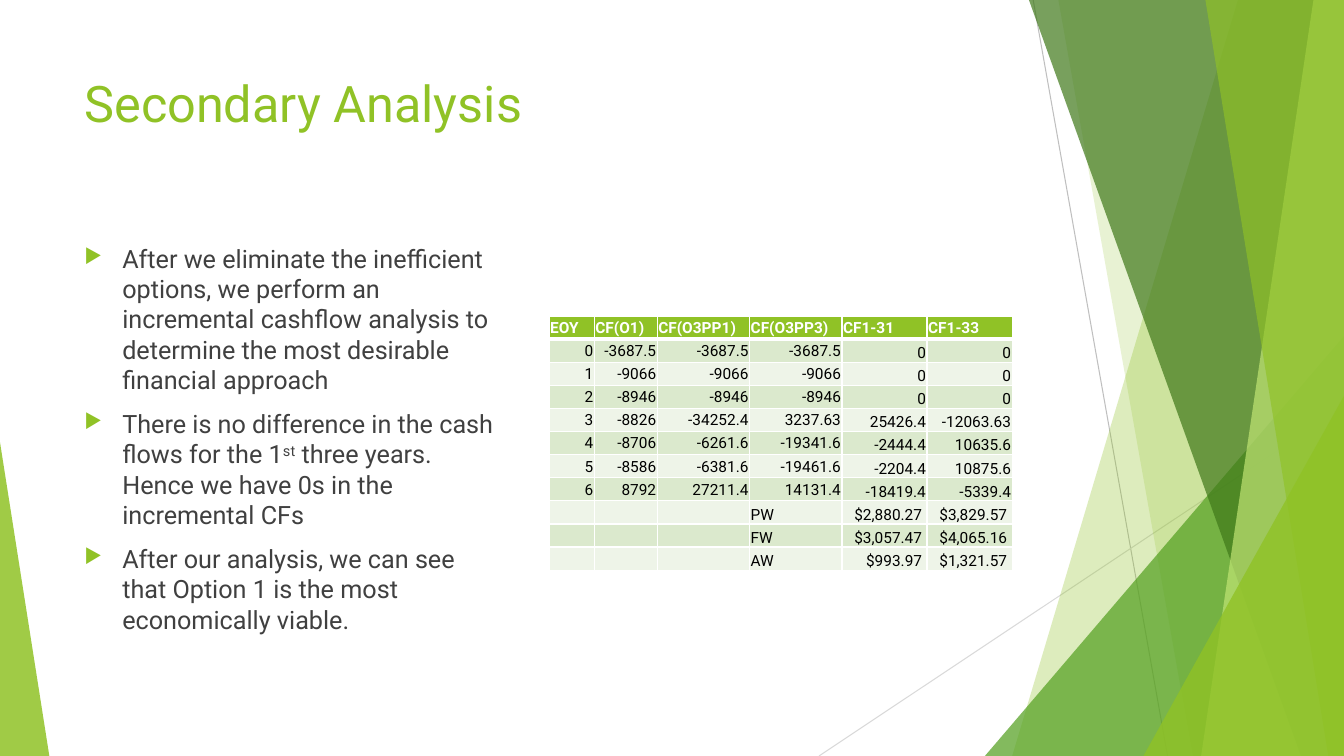
import pptx
import pptx.util
import pptx.dml.color
import pptx.enum.shapes
import pptx.enum.text
import pptx.oxml
import pptx.oxml.ns
import lxml.etree

RGB = pptx.dml.color.RGBColor
LIME = RGB(0x90, 0xC2, 0x26)
GREEN = RGB(0x54, 0xA0, 0x21)
DARK = RGB(0x3F, 0x78, 0x19)
PALE = RGB(0xC0, 0xE4, 0x74)
WHITE = RGB(0xFF, 0xFF, 0xFF)
BLACK = RGB(0, 0, 0)
GRAY = RGB(0x40, 0x40, 0x40)
RULE = RGB(0xBF, 0xBF, 0xBF)
FAINT = RGB(0xD9, 0xD9, 0xD9)
BANDS = [RGB(0xEE, 0xF4, 0xE8), RGB(0xDB, 0xE9, 0xCD)]
FONT = "Roboto"
PX = 9525
ALIGN = pptx.enum.text.PP_ALIGN
ANCHOR = pptx.enum.text.MSO_ANCHOR
KIND = pptx.enum.shapes.MSO_SHAPE

POINTS = [
    ["After we eliminate the inefficient options, we perform an incremental "
     "cashflow analysis to determine the most desirable financial approach"],
    ["There is no difference in the cash flows for the 1", "st",
     " three years. Hence we have 0s in the incremental CFs"],
    ["After our analysis, we can see that Option 1 is the most economically viable."],
]
HEAD = ["EOY", "CF(O1)", "CF(O3PP1)", "CF(O3PP3)", "CF1-31", "CF1-33"]
FLOWS = [
    ["0", "-3687.5", "-3687.5", "-3687.5", "0", "0"],
    ["1", "-9066", "-9066", "-9066", "0", "0"],
    ["2", "-8946", "-8946", "-8946", "0", "0"],
    ["3", "-8826", "-34252.4", "3237.63", "25426.4", "-12063.63"],
    ["4", "-8706", "-6261.6", "-19341.6", "-2444.4", "10635.6"],
    ["5", "-8586", "-6381.6", "-19461.6", "-2204.4", "10875.6"],
    ["6", "8792", "27211.4", "14131.4", "-18419.4", "-5339.4"],
]
WORTHS = [
    ["", "", "", "PW", "$2,880.27 ", "$3,829.57 "],
    ["", "", "", "FW", "$3,057.47 ", "$4,065.16 "],
    ["", "", "", "AW", "$993.97 ", "$1,321.57 "],
]
WIDTHS = [43, 60, 88, 88, 81, 81]


def emu(*sizes):
    return [size * PX for size in sizes]


def style(font, size, color, bold=False):
    font.name = FONT
    font.size = pptx.util.Pt(size)
    font.color.rgb = color
    font.bold = bold


def paint(shape, color, alpha):
    shape.shadow.inherit = False
    shape.line.fill.background()
    shape.fill.solid()
    shape.fill.fore_color.rgb = color
    tint = shape._element.spPr.find(".//" + pptx.oxml.ns.qn("a:srgbClr"))
    lxml.etree.SubElement(tint, pptx.oxml.ns.qn("a:alpha"), val=str(alpha * 1000))


def wedge(slide, box, apex, color, alpha):
    shape = slide.shapes.add_shape(KIND.ISOSCELES_TRIANGLE, *emu(*box))
    shape.adjustments[0] = apex
    paint(shape, color, alpha)


def pane(slide, box, top, base, color, alpha):
    left, y, width, height = box
    right, foot = left + width, y + height
    pen = slide.shapes.build_freeform(left + top, y, scale=PX)
    pen.add_line_segments([(right, y), (right, foot), (left + base, foot)])
    paint(pen.convert_to_shape(), color, alpha)


def ray(slide, start, end, color):
    line = slide.shapes.add_connector(
        pptx.enum.shapes.MSO_CONNECTOR.STRAIGHT, *emu(*start, *end))
    line.line.color.rgb = color
    line.line.width = pptx.util.Pt(0.75)
    lxml.etree.SubElement(line._element.spPr, pptx.oxml.ns.qn("a:effectLst"))


def facets(slide, box):
    left, top, width, height = box
    right, foot = left + width, top + height
    ray(slide, (left + 204, top), (left + 332, foot), RULE)
    ray(slide, (right, top + 387), (left, foot), FAINT)
    pane(slide, box, 399, 184, LIME, 30)
    pane(slide, box, 228, 356, LIME, 20)
    wedge(slide, (right - 342, foot - 400, 342, 400), 1, GREEN, 72)
    pane(slide, box, 200, 459, DARK, 70)
    pane(slide, box, 471, 364, PALE, 70)
    pane(slide, box, 368, 485, LIME, 65)
    wedge(slide, (right - 191, foot - 343, 191, 343), 1, LIME, 80)


def frame(slide, box):
    text = slide.shapes.add_textbox(*emu(*box)).text_frame
    text.word_wrap = True
    return text


def title(slide, box):
    para = frame(slide, box).paragraphs[0]
    para.text = "Secondary Analysis"
    style(para.font, 36, LIME)


def bullet(para):
    props = para._p.get_or_add_pPr()
    props.set("marL", str(36 * PX))
    props.set("indent", str(-36 * PX))
    space = pptx.oxml.ns.nsdecls("a")
    marks = [
        f'<a:buClr {space}><a:srgbClr val="{LIME}"/></a:buClr>',
        f'<a:buSzPct {space} val="80000"/>',
        f'<a:buChar {space} char="▶"/>',
    ]
    fonts = props.find(pptx.oxml.ns.qn("a:defRPr"))
    for mark in marks:
        fonts.addprevious(pptx.oxml.parse_xml(mark))


def body(slide, box):
    text = frame(slide, box)
    for index, parts in enumerate(POINTS):
        para = text.add_paragraph() if index else text.paragraphs[0]
        para.space_before = pptx.util.Pt(10)
        style(para.font, 18, GRAY)
        bullet(para)
        for part in parts:
            run = para.add_run()
            run.text = part
            if part == "st":
                run._r.get_or_add_rPr().set("baseline", "30000")


def border(cell, foot):
    props = cell._tc.get_or_add_tcPr()
    space = pptx.oxml.ns.nsdecls("a")
    for index, side in enumerate(["lnL", "lnR", "lnT", "lnB"]):
        width = pptx.util.Pt(foot if side == "lnB" else 1)
        props.insert(index, pptx.oxml.parse_xml(
            f'<a:{side} {space} w="{width}"><a:solidFill>'
            f'<a:srgbClr val="{WHITE}"/></a:solidFill></a:{side}>'))


def fill(cell, word, row, col):
    head = row == 0
    low = row > len(FLOWS) or (row and col > 3)
    cell.margin_left = cell.margin_right = cell.margin_top = PX
    cell.margin_bottom = 0
    cell.vertical_anchor = ANCHOR.BOTTOM if low else ANCHOR.MIDDLE
    cell.fill.solid()
    cell.fill.fore_color.rgb = LIME if head else BANDS[row % 2]
    border(cell, 3 if head else 1)
    para = cell.text_frame.paragraphs[0]
    para.text = word
    style(para.font, 11, WHITE if head else BLACK, head)
    if not head and not word.isalpha():
        para.alignment = ALIGN.RIGHT


def table(slide, box):
    rows = [HEAD] + FLOWS + WORTHS
    grid = slide.shapes.add_table(len(rows), len(HEAD), *emu(*box)).table
    for col, width in zip(grid.columns, WIDTHS):
        col.width = width * PX
    for row, words in enumerate(rows):
        grid.rows[row].height = box[3] // len(rows) * PX
        for col, word in enumerate(words):
            fill(grid.cell(row, col), word, row, col)


def main():
    deck = pptx.Presentation()
    deck.slide_width, deck.slide_height = emu(1280, 720)
    slide = deck.slides.add_slide(deck.slide_layouts[6])
    facets(slide, (780, 0, 500, 720))
    wedge(slide, (0, 421, 47, 299), 0, LIME, 85)
    title(slide, (71, 64, 902, 138))
    body(slide, (71, 227, 416, 394))
    table(slide, (523, 301, sum(WIDTHS), 242))
    deck.save("out.pptx")


if __name__ == "__main__":
    main()
